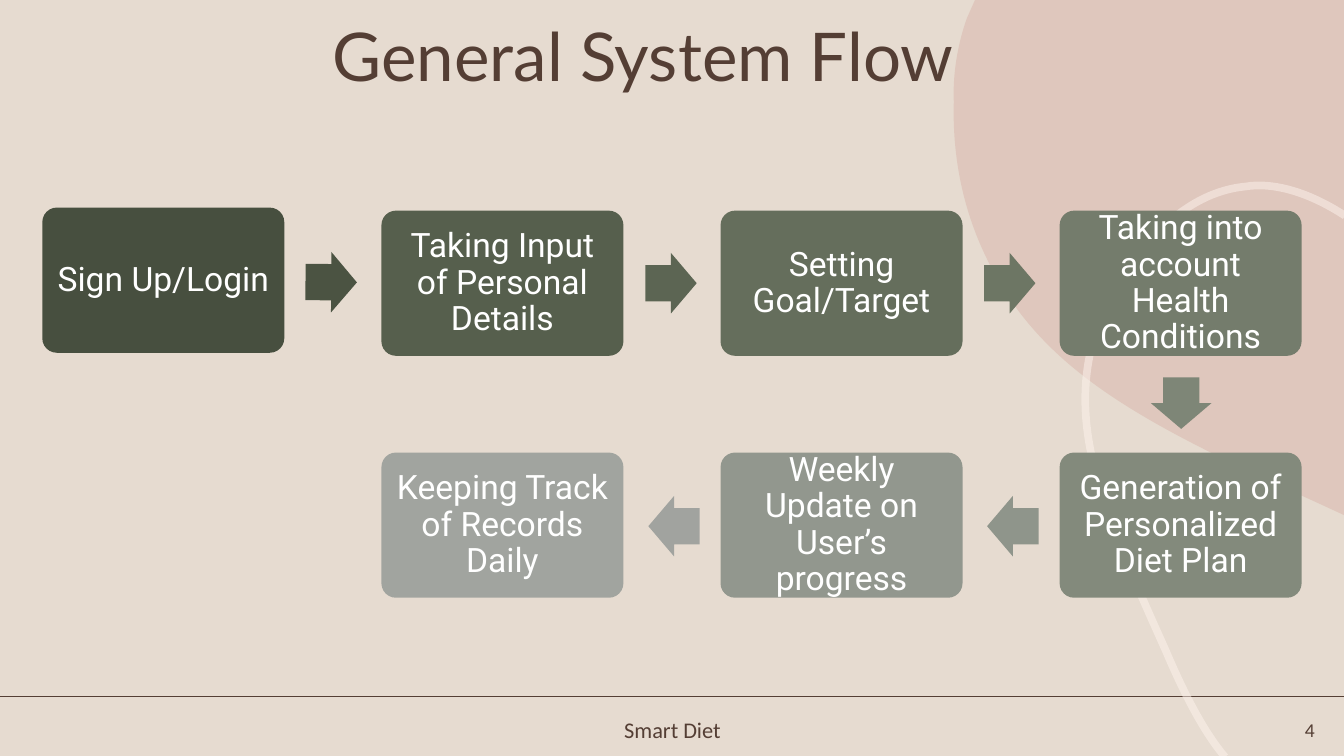
from lxml import etree
from pptx import Presentation
from pptx.dml.color import RGBColor
from pptx.enum.shapes import MSO_CONNECTOR, MSO_SHAPE
from pptx.enum.text import MSO_ANCHOR, MSO_AUTO_SIZE, PP_ALIGN
from pptx.oxml.ns import qn
from pptx.util import Inches, Pt

ROUNDED, ARROW = MSO_SHAPE.ROUNDED_RECTANGLE, MSO_SHAPE.RIGHT_ARROW
STRAIGHT = MSO_CONNECTOR.STRAIGHT
MIDDLE, NO_FIT = MSO_ANCHOR.MIDDLE, MSO_AUTO_SIZE.NONE
CENTER, RIGHT = PP_ALIGN.CENTER, PP_ALIGN.RIGHT

BROWN, WHITE = "543E34", "FFFFFF"
BOX_WIDTH, BOX_HEIGHT = 2.4, 1.44
ARROW_WIDTH, ARROW_HEIGHT = 0.51, 0.6
FIRST_LEFT, LAST_LEFT = 0.42, 10.51
COLUMN_STEP = (LAST_LEFT - FIRST_LEFT) / 3
TOP, ROW_STEP = 2.09, 2.4
RULE_TOP = 6.91

# Column, row, fill and wording of each step, in order of flow
STEPS = [
    (0, 0, "474F3F", "Sign Up/Login"),
    (1, 0, "565F4D", "Taking Input of Personal Details"),
    (2, 0, "656E5C", "Setting Goal/Target"),
    (3, 0, "747C6C", "Taking into account Health Conditions"),
    (3, 1, "838A7C", "Generation of Personalized Diet Plan"),
    (2, 1, "92978E", "Weekly Update on User’s progress"),
    (1, 1, "A1A49F", "Keeping Track of Records Daily"),
]
# Left, top, rotation and fill of the arrow after each step
ARROWS = [
    (3.03, 2.5, 0.4, "4B5342"),
    (6.4, 2.51, 0, "5C6553"),
    (9.76, 2.51, 0, "6D7664"),
    (11.46, 3.7, 90, "7E8677"),
    (9.79, 4.92, 180, "8F958B"),
    (6.43, 4.92, 180, "A1A39F"),
]
# Left, top, right and bottom, then the path: a curve has three points
BLOB_FRAME = (9.46, 0, 13.34, 5.11)
BLOB_PATH = [
    ("moveTo", (9.67, 0)),
    ("lnTo", (13.33, 0)),
    ("lnTo", (13.33, 5.11)),
    ("lnTo", (13.07, 4.99)),
    ("cubicBezTo", (11.36, 4.21), (10.32, 3.69), (9.78, 2.55)),
    ("cubicBezTo", (9.48, 1.93), (9.45, 1.35), (9.46, 1.01)),
    ("cubicBezTo", (9.45, 0.79), (9.48, 0.49), (9.59, 0.18)),
    ("close",),
]
LOOP_FRAME = (10.77, 1.84, 13.35, 7.51)
LOOP_PATH = [
    ("moveTo", (12.15, 7.51)),
    ("cubicBezTo", (11.98, 7.31), (11.79, 6.99), (11.56, 6.45)),
    ("cubicBezTo", (10.94, 5.07), (10.58, 4.24), (10.86, 3.32)),
    ("cubicBezTo", (11.01, 2.85), (11.27, 2.53), (11.44, 2.35)),
    ("cubicBezTo", (11.61, 2.17), (11.92, 1.89), (12.36, 1.85)),
    ("cubicBezTo", (12.41, 1.84), (12.47, 1.84), (12.52, 1.84)),
    ("cubicBezTo", (12.79, 1.85), (13.08, 1.97), (13.34, 2.14)),
]


def color(value):
    return RGBColor.from_string(value)


def paint(fill, value, opacity=100):
    fill.solid()
    fill.fore_color.rgb = color(value)
    if opacity < 100:
        tint = fill._xPr.find(qn("a:solidFill"))[0]
        etree.SubElement(tint, qn("a:alpha"), val=str(opacity * 1000))


def write(shape, text, size, font, ink=BROWN, align=CENTER, spacing=1.0):
    frame = shape.text_frame
    frame.word_wrap = True
    frame.auto_size = NO_FIT
    frame.vertical_anchor = MIDDLE
    para = frame.paragraphs[0]
    para.alignment = align
    para.line_spacing = spacing
    span = para.add_run()
    span.text = text
    span.font.size = Pt(size)
    span.font.name = font
    span.font.color.rgb = color(ink)


def place(shape, left, top, width, height):
    shape.left, shape.top = Inches(left), Inches(top)
    shape.width, shape.height = Inches(width), Inches(height)


def add_label(page, left, top, width, height, text, **style):
    box = page.shapes.add_textbox(
        Inches(left), Inches(top), Inches(width), Inches(height))
    write(box, text, font="Calibri", **style)


def add_block(page, kind, left, top, width, height, fill, adjustments):
    block = page.shapes.add_shape(
        kind, Inches(left), Inches(top), Inches(width), Inches(height))
    block.shadow.inherit = False
    paint(block.fill, fill)
    block.line.fill.background()
    for index, value in enumerate(adjustments):
        block.adjustments[index] = value
    return block


def add_step(page, column, row, fill, text):
    # The first box sits slightly above its row
    top = TOP + row * ROW_STEP - (0.03 if column == 0 else 0)
    box = add_block(page, ROUNDED, FIRST_LEFT + column * COLUMN_STEP, top,
                    BOX_WIDTH, BOX_HEIGHT, fill, [0.1])
    frame = box.text_frame
    frame.margin_left = frame.margin_right = Inches(0.1)
    frame.margin_top = frame.margin_bottom = Inches(0.1)
    write(box, text, 24, "Roboto", ink=WHITE, spacing=0.9)


def add_arrow(page, left, top, rotation, fill):
    arrow = add_block(page, ARROW, left, top, ARROW_WIDTH, ARROW_HEIGHT,
                      fill, [0.6, 0.5])
    arrow.rotation = rotation


def add_outline(page, frame, segments):
    """A freeform spanning the frame, with its path drawn in curves."""
    left, top, right, bottom = (Inches(edge) for edge in frame)
    builder = page.shapes.build_freeform(left, top)
    builder.add_line_segments([(right, bottom)], close=False)
    outline = builder.convert_to_shape()
    outline.shadow.inherit = False

    drawing = outline._element.spPr.find(".//" + qn("a:path"))
    for child in list(drawing):
        drawing.remove(child)
    for command, *points in segments:
        segment = etree.SubElement(drawing, qn("a:" + command))
        for x, y in points:
            etree.SubElement(segment, qn("a:pt"), x=str(Inches(x) - left),
                             y=str(Inches(y) - top))
    return outline


def add_backdrop(page):
    paint(page.background.fill, "E6DBD0")
    rule = page.shapes.add_connector(
        STRAIGHT, Inches(0), Inches(RULE_TOP), Inches(13.33), Inches(RULE_TOP))
    paint(rule.line.fill, BROWN)
    rule.line.width = Pt(1.25)
    etree.SubElement(rule._element.spPr, qn("a:effectLst"))

    blob = add_outline(page, BLOB_FRAME, BLOB_PATH)
    paint(blob.fill, "CF9B92", opacity=30)
    blob.line.fill.background()

    loop = add_outline(page, LOOP_FRAME, LOOP_PATH)
    loop.fill.background()
    paint(loop.line.fill, "FEF3ED", opacity=50)
    loop.line.width = Pt(5.5)


def main():
    deck = Presentation()
    deck.slide_width, deck.slide_height = Inches(13.33), Inches(7.5)
    page = deck.slides.add_slide(deck.slide_layouts[5])
    add_backdrop(page)

    # Title and footer
    title = page.shapes.title
    place(title, 0.63, 0.22, 11.5, 0.74)
    write(title, "General System Flow", 48, "Lato", spacing=0.9)
    add_label(page, 4.79, 7.07, 3.76, 0.34, "Smart Diet", size=16)
    add_label(page, 12.06, 7.07, 1.08, 0.34, "4", size=14, align=RIGHT)

    # Flow of steps
    for step in STEPS:
        add_step(page, *step)
    for arrow in ARROWS:
        add_arrow(page, *arrow)
    deck.save("out.pptx")


if __name__ == "__main__":
    main()
